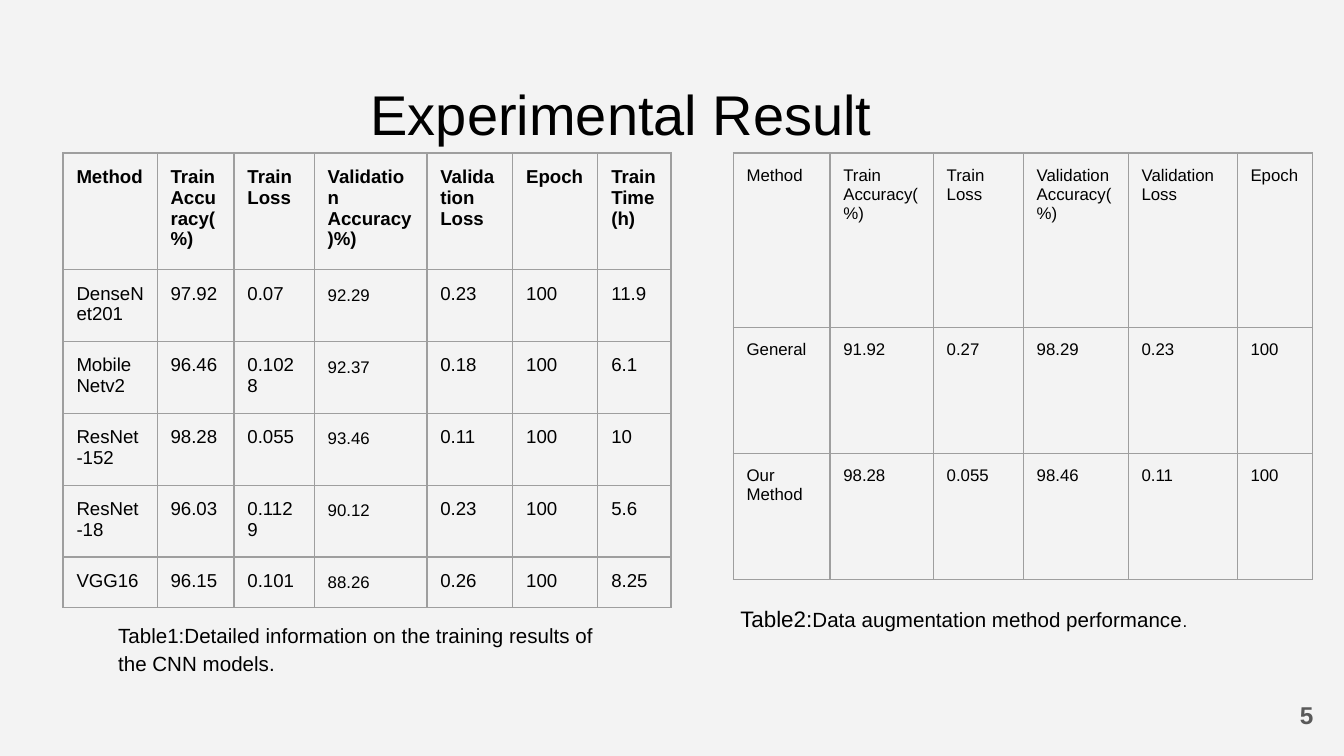
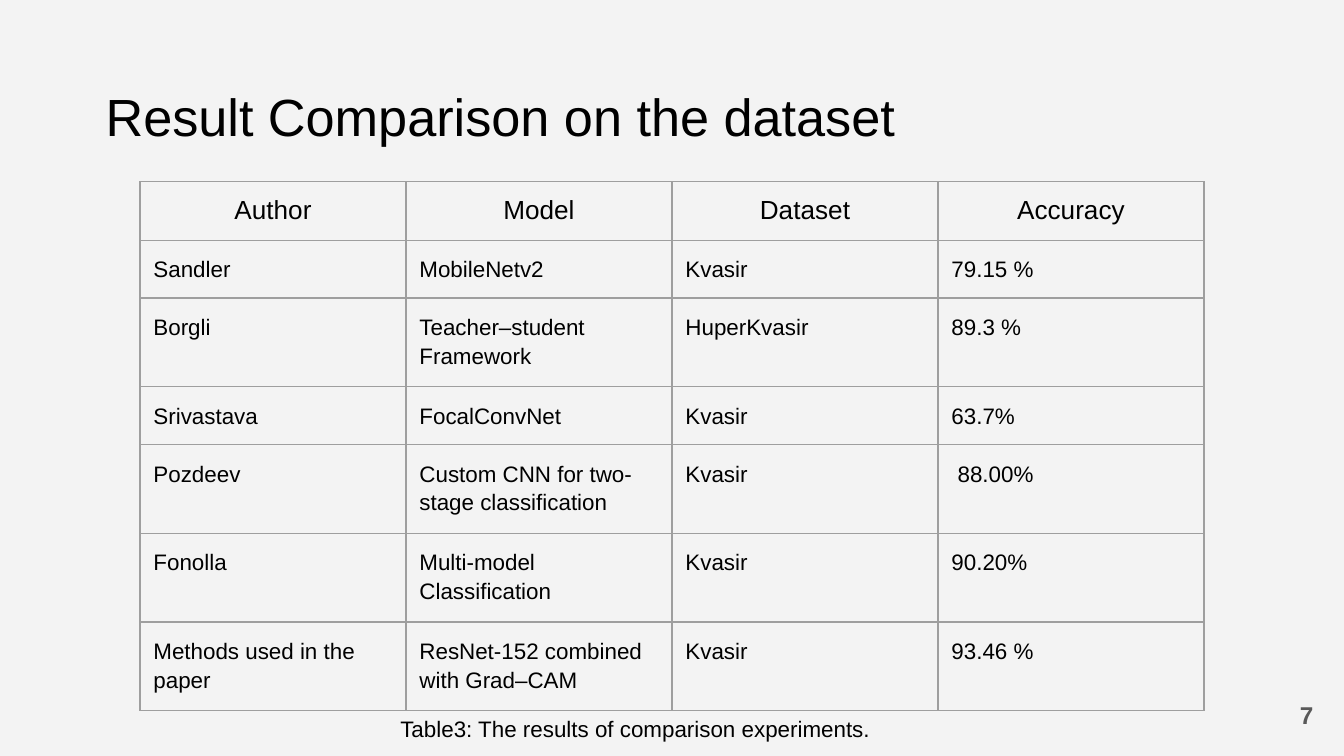
import pptx
import pptx.util
import pptx.dml.color
import pptx.enum.text
import pptx.oxml
from pptx.oxml.ns import nsdecls

Pt = pptx.util.Pt
ALIGN = pptx.enum.text.PP_ALIGN
ANCHOR = pptx.enum.text.MSO_ANCHOR

# Shared look
COLORS = {"background": "F3F3F3", "text": "000000", "number": "595959", "border": "9E9E9E"}
FONT = "Arial"
INSET = 7.2
BORDER_WIDTH = 0.75
SPACING = 1.15
PARAGRAPH_GAP = 12
TITLE_BOX = (33.8, 14.4, 548, 71.3)
NUMBER_BOX = (667.4, 367.2, 43.2, 31)

# Content: table positions, sizes and rows; "spaced" lists body columns with open spacing
TRAINING = {
    "at": (33.8, 82),
    "columns": (50.4, 41.2, 43, 60.4, 46, 45.6, 39.2),
    "heights": (46, 28.8, 28.1, 28.1, 28.1, 19.4),
    "header": {"size": 10, "bold": True},
    "size": 10, "spaced": {3: 9},
    "rows": [
        ("Method", "Train Accuracy(%)", "Train Loss", "Validation Accuracy)%)",
         "Validation Loss", "Epoch", "Train Time(h)"),
        ("DenseNet201", "97.92", "0.07", "92.29", "0.23", "100", "11.9"),
        ("MobileNetv2", "96.46", "0.1028", "92.37", "0.18", "100", "6.1"),
        ("ResNet-152", "98.28", "0.055", "93.46", "0.11", "100", "10"),
        ("ResNet-18", "96.03", "0.1129", "90.12", "0.23", "100", "5.6"),
        ("VGG16", "96.15", "0.101", "88.26", "0.26", "100", "8.25"),
    ],
}
AUGMENTATION = {
    "at": (392.8, 82),
    "columns": (51.8, 55.4, 48.2, 56.2, 58.4, 40.6),
    "heights": (93.3, 67.5, 67.5),
    "header": {"size": 9},
    "size": 9, "spaced": {},
    "rows": [
        ("Method", "Train Accuracy(%)", "Train Loss", "Validation Accuracy(%)",
         "Validation Loss", "Epoch"),
        ("General", "91.92", "0.27", "98.29", "0.23", "100"),
        ("Our Method", "98.28", "0.055", "98.46", "0.11", "100"),
    ],
}
COMPARISON = {
    "at": (75, 97.4),
    "columns": (142.5,) * 4,
    "heights": (30.1,) * 7,
    "header": {"size": 14, "align": ALIGN.CENTER},
    "size": 12, "spaced": dict.fromkeys(range(4), 12),
    "rows": [
        ("Author", "Model", "Dataset", "Accuracy"),
        ("Sandler", "MobileNetv2", "Kvasir", "79.15 %"),
        ("Borgli", "Teacher–student Framework", "HuperKvasir", "89.3 %"),
        ("Srivastava", "FocalConvNet", "Kvasir", "63.7%"),
        ("Pozdeev", "Custom CNN for two-stage classification", "Kvasir", " 88.00%"),
        ("Fonolla", "Multi-model Classification", "Kvasir", "90.20%"),
        ("Methods used in the paper", "ResNet-152 combined with Grad–CAM", "Kvasir", "93.46 %"),
    ],
}
SLIDES = [
    {
        "title": "Experimental Result", "size": 30, "align": ALIGN.CENTER, "indent": 50,
        "number": "5",
        "tables": [TRAINING, AUGMENTATION],
        "captions": [
            ((56.2, 324.7, 282.2, 74.2),
             [("Table1:Detailed information on the training results of the CNN models.", 11)]),
            ((389.5, 314.6, 300.2, 55.4),
             [("Table2:", 12), ("Data augmentation method performance", 11), (".", 9)]),
        ],
    },
    {
        "title": "Result Comparison on the dataset", "size": 28, "align": ALIGN.LEFT, "indent": 15.6,
        "number": "7",
        "tables": [COMPARISON],
        "captions": [
            ((207.4, 373.7, 421.9, 60.5),
             [("Table3: The results of comparison experiments.", 12)]),
        ],
    },
]


def rgb(name):
    return pptx.dml.color.RGBColor.from_string(COLORS[name])


def format_run(run, size, bold=False, color="text"):
    run.font.name = FONT
    run.font.size = Pt(size)
    run.font.bold = bold
    run.font.color.rgb = rgb(color)


def set_insets(holder):
    holder.margin_left = holder.margin_right = Pt(INSET)
    holder.margin_top = holder.margin_bottom = Pt(INSET)


def add_text(slide, box, pieces, align=ALIGN.LEFT, anchor=ANCHOR.TOP, bold=False, color="text"):
    """Add one paragraph made of (text, size) pieces and return its frame."""
    frame = slide.shapes.add_textbox(*map(Pt, box)).text_frame
    frame.word_wrap = True
    frame.vertical_anchor = anchor
    set_insets(frame)
    paragraph = frame.paragraphs[0]
    paragraph.alignment = align
    for text, size in pieces:
        run = paragraph.add_run()
        run.text = text
        format_run(run, size, bold, color)
    return frame


def add_borders(cell):
    properties = cell._tc.get_or_add_tcPr()
    for side in ("lnL", "lnR", "lnT", "lnB"):
        properties.append(pptx.oxml.parse_xml(
            f'<a:{side} {nsdecls("a")} w="{Pt(BORDER_WIDTH)}"><a:solidFill>'
            f'<a:srgbClr val="{COLORS["border"]}"/></a:solidFill></a:{side}>'))


def fill_cell(cell, text, size, bold=False, align=ALIGN.LEFT, spaced=False):
    set_insets(cell)
    add_borders(cell)
    cell.fill.background()
    paragraph = cell.text_frame.paragraphs[0]
    paragraph.text = text
    paragraph.alignment = align
    if spaced:
        paragraph.line_spacing = SPACING
        paragraph.space_before = paragraph.space_after = Pt(PARAGRAPH_GAP)
    format_run(paragraph.runs[0], size, bold)


def add_results(slide, results):
    rows, columns, heights = results["rows"], results["columns"], results["heights"]
    box = (*results["at"], sum(columns), sum(heights))
    table = slide.shapes.add_table(len(rows), len(columns), *map(Pt, box)).table
    table.first_row = table.horz_banding = False
    for column, width in zip(table.columns, columns):
        column.width = Pt(width)
    for r, (row, height) in enumerate(zip(rows, heights)):
        table.rows[r].height = Pt(height)
        for c, text in enumerate(row):
            if r == 0:
                style = results["header"]
            else:
                style = {"size": results["spaced"].get(c, results["size"]),
                         "spaced": c in results["spaced"]}
            fill_cell(table.cell(r, c), text, **style)


def add_caption(slide, box, pieces):
    frame = add_text(slide, box, pieces)
    frame.auto_size = pptx.enum.text.MSO_AUTO_SIZE.SHAPE_TO_FIT_TEXT
    frame.paragraphs[0].line_spacing = SPACING
    frame.paragraphs[0].space_before = Pt(PARAGRAPH_GAP)


def build_slide(deck, content):
    slide = deck.slides.add_slide(deck.slide_layouts[6])
    slide.background.fill.solid()
    slide.background.fill.fore_color.rgb = rgb("background")

    # Title and slide number
    title = add_text(slide, TITLE_BOX, [(content["title"], content["size"])],
                     content["align"], ANCHOR.BOTTOM)
    title.margin_left = Pt(INSET + content["indent"])
    add_text(slide, NUMBER_BOX, [(content["number"], 13)], ALIGN.RIGHT, ANCHOR.MIDDLE,
             bold=True, color="number")

    # Tables and captions
    for results in content["tables"]:
        add_results(slide, results)
    for box, pieces in content["captions"]:
        add_caption(slide, box, pieces)


def main():
    deck = pptx.Presentation()
    deck.slide_width, deck.slide_height = Pt(720), Pt(405)
    for content in SLIDES:
        build_slide(deck, content)
    deck.save("out.pptx")


if __name__ == "__main__":
    main()
